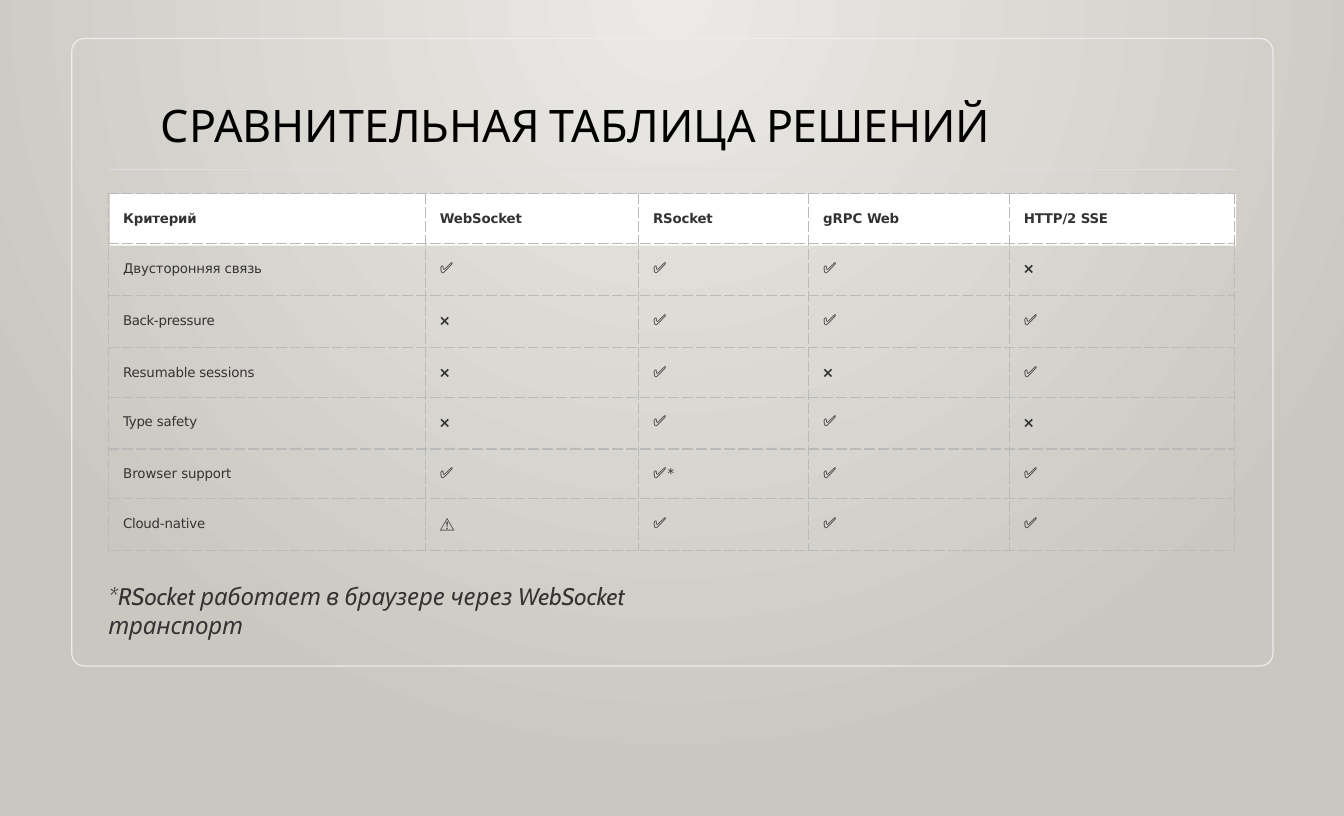
import pptx
import pptx.util
import pptx.oxml
import pptx.oxml.ns
import pptx.dml.color
import pptx.enum.shapes
from lxml import etree

Cm = pptx.util.Cm
Pt = pptx.util.Pt
qn = pptx.oxml.ns.qn
SHAPE = pptx.enum.shapes.MSO_SHAPE

INK = "333333"
YES = [("✅", 1.6)]
NO = [("❌", 2)]
WARN = [("⚠", 3.5)]
STAR = [("✅", 0.7), ("*", 0.7)]

HEADS = [
    [("Критерий", -0.1)],
    [("WebSocket", -0.1)],
    [("RSocket", -0.1)],
    [("gRPC ", 0), ("Web", -0.2)],
    [("HTTP/2 ", -0.1), ("SSE", -0.2)],
]
ROWS = [
    [[("Двусторонняя связь", -0.1)], YES, YES, YES, NO],
    [[("Back-", -0.3), ("pressure", -0.1)], NO, YES, YES, YES],
    [[("Resumable sessions", -0.1)], NO, YES, NO, YES],
    [[("Type ", -0.2), ("safety", -0.1)], NO, YES, YES, NO],
    [[("Browser ", 0), ("support", -0.1)], YES, STAR, YES, YES],
    [[("Cloud-", -0.2), ("native", -0.1)], WARN, YES, YES, YES],
]
WIDTHS = [8.38, 5.64, 4.5, 5.31, 5.97]
HEIGHTS = [1.32, 1.37, 1.37, 1.32, 1.37, 1.32, 1.37]


def color(code):
    return pptx.dml.color.RGBColor.from_string(code)


def add_run(para, text, size, font, code, gap=0, bold=False, slant=False):
    run = para.add_run()
    run.text = text
    run.font.size = Pt(size)
    run.font.name = font
    run.font.bold = bold
    run.font.italic = slant
    run.font.color.rgb = color(code)
    run._r.get_or_add_rPr().set("spc", str(round(gap * 100)))


def add_text(slide, box, runs, size, code, slant=False):
    frame = slide.shapes.add_textbox(*map(Cm, box)).text_frame
    frame.word_wrap = True
    frame.margin_left = frame.margin_right = frame.margin_bottom = 0
    frame.margin_top = Cm(0.04)
    para = frame.paragraphs[0]
    para.space_before = Pt(1)
    for text, gap in runs:
        add_run(para, text, size, "Cabin", code, gap, slant=slant)


def add_box(slide, kind, box, fill=None, line=None):
    shape = slide.shapes.add_shape(kind, *map(Cm, box))
    shape.shadow.inherit = False
    if fill:
        shape.fill.solid()
        shape.fill.fore_color.rgb = color(fill)
    else:
        shape.fill.background()
    if line:
        shape.line.color.rgb = color(line)
        shape.line.width = Pt(0.9)
    else:
        shape.line.fill.background()
    return shape


def paint_back(slide):
    fill = slide.background.fill
    fill.gradient()
    for stop, code in zip(fill.gradient_stops, ("ECEAE7", "CAC7C1")):
        stop.color.rgb = color(code)
    grad = slide.background._cSld.find(".//" + qn("a:gradFill"))
    grad.remove(grad.find(qn("a:lin")))
    ring = etree.SubElement(grad, qn("a:path"), path="circle")
    etree.SubElement(ring, qn("a:fillToRect"), l="43000", t="0", r="43000", b="100000")


def add_panel(slide, left, top, width, height):
    panel = add_box(slide, SHAPE.ROUNDED_RECTANGLE, (left, top, width, height), line="EDEDED")
    panel.adjustments[0] = 0.02
    add_box(slide, SHAPE.RECTANGLE, (left + 0.97, top + 3.45, width - 1.94, 0.03), fill="DDDDDD")


def add_edges(cell):
    props = cell._tc.get_or_add_tcPr()
    for spot, side in enumerate(("lnL", "lnR", "lnT", "lnB")):
        line = etree.Element(qn("a:" + side), w="12700")
        fill = etree.SubElement(line, qn("a:solidFill"))
        etree.SubElement(fill, qn("a:srgbClr"), val="BABABA")
        etree.SubElement(line, qn("a:prstDash"), val="sysDash")
        props.insert(spot, line)


def fill_cell(cell, runs, head):
    cell.fill.background()
    add_edges(cell)
    cell.margin_left = Cm(0.39)
    cell.margin_right = cell.margin_bottom = 0
    cell.margin_top = Cm(0.41 if runs in (YES, STAR) else 0.46)
    para = cell.text_frame.paragraphs[0]
    for text, gap in runs:
        if text == "✅":
            size, font = 11.5, "Roboto"
        elif text in "❌⚠":
            size, font = 11, "Roboto"
        else:
            size, font = 10, "DejaVu Sans"
        add_run(para, text, size, font, INK, gap, bold=head)


def add_grid(slide, left, top):
    width = sum(WIDTHS)
    add_box(slide, SHAPE.RECTANGLE, (left + 0.04, top, width, 1.37), fill="FFFFFF")
    lines = [HEADS] + ROWS
    box = map(Cm, (left, top, width, sum(HEIGHTS)))
    table = slide.shapes.add_table(len(lines), len(HEADS), *box).table
    table.first_row = table.horz_banding = False
    for col, wide in zip(table.columns, WIDTHS):
        col.width = Cm(wide)
    for row, high in zip(table.rows, HEIGHTS):
        row.height = Cm(high)
    for r, line in enumerate(lines):
        for c, runs in enumerate(line):
            fill_cell(table.cell(r, c), runs, r == 0)


def main():
    deck = pptx.Presentation()
    deck.slide_width, deck.slide_height = Cm(35.56), Cm(21.59)
    slide = deck.slides.add_slide(deck.slide_layouts[6])
    paint_back(slide)
    add_panel(slide, 1.9, 1.02, 31.78, 16.6)
    title = [("СРАВНИТЕЛЬНАЯ ТАБЛИЦА ", 0), ("РЕШЕНИЙ", -0.1)]
    add_text(slide, (4.26, 2.54, 28, 3.3), title, 33.6, "000000")
    add_grid(slide, 2.87, 5.13)
    note = [
        ("*RSocket ", 0),
        ("работает ", -0.1),
        ("в браузере через WebSocket ", 0),
        ("транспорт", -0.1),
    ]
    add_text(slide, (2.87, 15.34, 17.17, 0.84), note, 18, INK, slant=True)
    deck.save("out.pptx")


if __name__ == "__main__":
    main()
